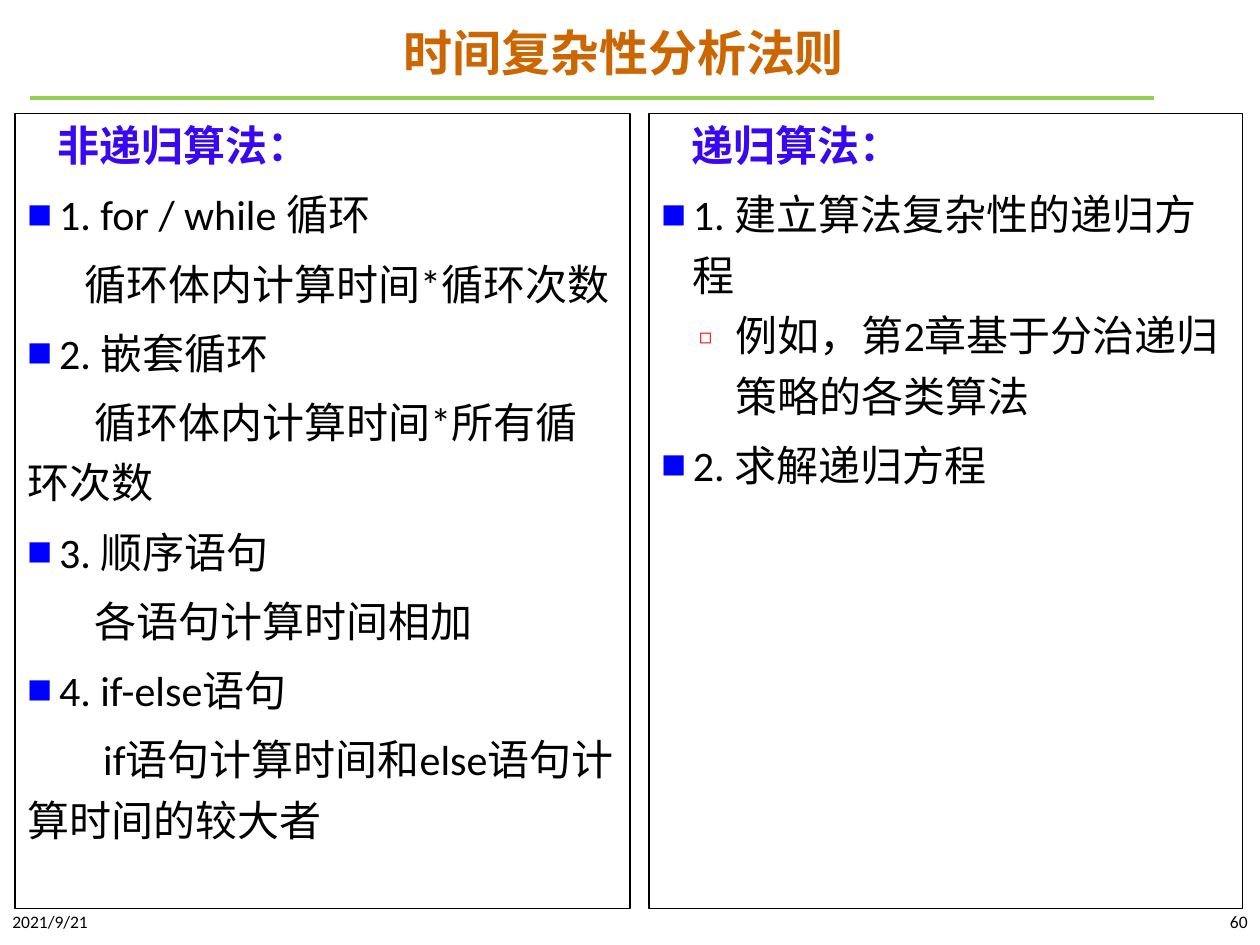
from lxml import etree
from pptx import Presentation
from pptx.dml.color import RGBColor
from pptx.enum.shapes import MSO_CONNECTOR, MSO_SHAPE
from pptx.enum.text import MSO_ANCHOR, PP_ALIGN
from pptx.oxml.ns import qn
from pptx.util import Inches, Pt

LEFT, CENTER, RIGHT = PP_ALIGN.LEFT, PP_ALIGN.CENTER, PP_ALIGN.RIGHT
TOP, MIDDLE = MSO_ANCHOR.TOP, MSO_ANCHOR.MIDDLE
RECTANGLE = MSO_SHAPE.RECTANGLE
STRAIGHT = MSO_CONNECTOR.STRAIGHT

BLACK = RGBColor(0, 0, 0)
ORANGE = RGBColor(0xCC, 0x66, 0x00)
VIOLET = RGBColor(0x39, 0x07, 0xF1)
GREEN = RGBColor(0x92, 0xD0, 0x50)
BLUE = RGBColor(0, 0, 0xFF)
RED = RGBColor(0xFF, 0, 0)

LATIN, CJK = "Calibri", "Noto Sans CJK SC"

HEADING, ITEM, SUBITEM = "heading", "item", "subitem"
INDENTS = {HEADING: (0.24, 0), ITEM: (0.25, -0.25), SUBITEM: (0.59, -0.29)}
BULLETS = {ITEM: ("■", BLUE, 60), SUBITEM: ("◻", RED, 50)}

LOOPS = [
    (HEADING, "非递归算法："),
    (ITEM, "1. for / while 循环"),
    (0.45, "循环体内计算时间*循环次数"),
    (ITEM, "2. 嵌套循环"),
    (0.53, "循环体内计算时间*所有循环次数"),
    (ITEM, "3. 顺序语句"),
    (0.53, "各语句计算时间相加"),
    (ITEM, "4. if-else语句"),
    (0.6, "if语句计算时间和else语句计算时间的较大者"),
]
RECURSION = [
    (HEADING, "递归算法："),
    (ITEM, "1. 建立算法复杂性的递归方程"),
    (SUBITEM, "例如，第2章基于分治递归策略的各类算法"),
    (ITEM, "2. 求解递归方程"),
]


def format_run(r, size, color, bold=False, font=LATIN):
    r.font.name = font
    r.font.size = Pt(size)
    r.font.bold = bold
    r.font.color.rgb = color
    ea = etree.SubElement(r.font._element, qn("a:ea"))
    ea.set("typeface", CJK)


def set_bullet(p, char, color, percent):
    pPr = p._p.get_or_add_pPr()
    clr = etree.SubElement(pPr, qn("a:buClr"))
    etree.SubElement(clr, qn("a:srgbClr")).set("val", str(color))
    etree.SubElement(pPr, qn("a:buSzPct")).set("val", str(percent * 1000))
    etree.SubElement(pPr, qn("a:buFont")).set("typeface", CJK)
    etree.SubElement(pPr, qn("a:buChar")).set("char", char)


def add_label(s, box, text, align, size, color, bold=False, font=LATIN):
    sp = s.shapes.add_textbox(*map(Inches, box))
    tf = sp.text_frame
    tf.word_wrap = True
    tf.vertical_anchor = MIDDLE
    tf.text = text
    p = tf.paragraphs[0]
    p.alignment = align
    format_run(p.runs[0], size, color, bold, font)
    return p


def add_title(s, box):
    p = add_label(s, box, "时间复杂性分析法则", CENTER, 28, ORANGE, True, CJK)
    p.line_spacing = 0.9


def add_rule(s, left, right, y):
    line = s.shapes.add_connector(
        STRAIGHT, Inches(left), Inches(y), Inches(right), Inches(y))
    line.line.color.rgb = GREEN
    line.line.width = Pt(2.25)
    etree.SubElement(line._element.spPr, qn("a:effectLst"))


def add_panel(s, box, lines):
    sp = s.shapes.add_shape(RECTANGLE, *map(Inches, box))
    sp.shadow.inherit = False
    sp.fill.background()
    sp.line.color.rgb = BLACK
    sp.line.width = Pt(0.75)
    tf = sp.text_frame
    tf.word_wrap = True
    tf.vertical_anchor = TOP
    tf.text = "\n".join(text for _, text in lines)
    for i, (p, (kind, _)) in enumerate(zip(tf.paragraphs, lines)):
        heading = kind == HEADING
        p.alignment = LEFT
        p.level = 1 if kind == SUBITEM else 0
        p.space_before = Pt(0 if i == 0 or kind == SUBITEM else 5)
        p.line_spacing = 1.0 if heading else 1.2
        margin, indent = INDENTS.get(kind, (0, kind))
        pPr = p._p.get_or_add_pPr()
        pPr.set("marL", str(Inches(margin)))
        pPr.set("indent", str(Inches(indent)))
        if kind in BULLETS:
            set_bullet(p, *BULLETS[kind])
        format_run(p.runs[0], 24, VIOLET if heading else BLACK, heading)


def add_footer(s, left, top, width, height):
    label_width = 2.25
    add_label(s, (left, top, label_width, height), "2021/9/21", LEFT, 10, BLACK)
    add_label(s, (left + width - label_width, top, label_width, height),
              "60", RIGHT, 10, BLACK)


def main():
    prs = Presentation()
    prs.slide_width, prs.slide_height = Inches(10), Inches(7.5)
    s = prs.slides.add_slide(prs.slide_layouts[6])
    add_rule(s, 0.24, 9.16, 0.78)
    add_title(s, (0.64, 0.1, 8.62, 0.68))
    add_panel(s, (0.12, 0.9, 4.88, 6.31), LOOPS)
    add_panel(s, (5.15, 0.9, 4.71, 6.31), RECURSION)
    add_footer(s, 0, 7.14, 10, 0.34)
    prs.save("out.pptx")


if __name__ == "__main__":
    main()
